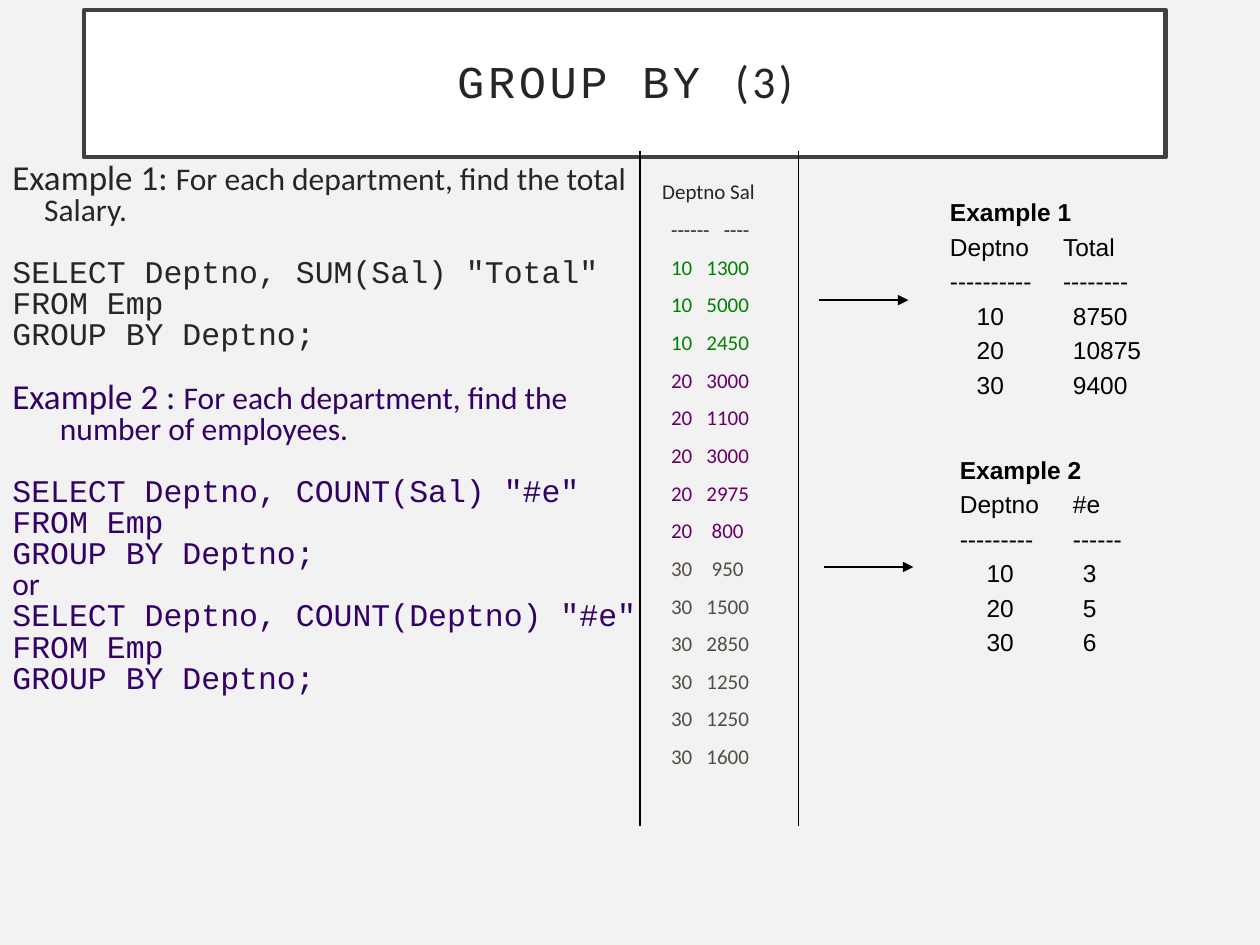
from dataclasses import dataclass

from lxml.etree import SubElement
from pptx import Presentation
from pptx.dml.color import RGBColor
from pptx.enum.shapes import MSO_CONNECTOR, MSO_SHAPE
from pptx.enum.text import MSO_ANCHOR, PP_ALIGN
from pptx.oxml.ns import qn
from pptx.util import Cm, Pt


@dataclass(frozen=True)
class Theme:
    paper: str = "F2F2F2"
    white: str = "FFFFFF"
    frame: str = "404040"
    ink: str = "262626"
    black: str = "000000"
    indigo: str = "330066"
    green: str = "008000"
    purple: str = "660066"
    brown: str = "524C44"
    sans: str = "Calibri"
    mono: str = "Courier New"
    result: str = "Arial"
    title: int = 26
    lead: int = 20
    body: int = 18
    small: int = 14
    tiny: int = 12


class Deck:
    def __init__(self, theme):
        self.t = theme
        self.prs = Presentation()
        self.prs.slide_width, self.prs.slide_height = Cm(25.4), Cm(19.05)
        self.s = self.prs.slides.add_slide(self.prs.slide_layouts[6])
        fill = self.s.background.fill
        fill.solid()
        fill.fore_color.rgb = RGBColor.from_string(theme.paper)

    def run(self, p, text, size, font, color, bold=False, spacing=0):
        r = p.add_run()
        r.text = text
        r.font.size, r.font.name, r.font.bold = Pt(size), font, bold
        r.font.color.rgb = RGBColor.from_string(color)
        if spacing:
            r.font._element.set("spc", str(spacing * 100))

    def paragraph(self, tf, before=0, spacing=1.0, hang=0, tabs=()):
        first = not tf.paragraphs[0].runs
        p = tf.paragraphs[0] if first else tf.add_paragraph()
        p.line_spacing = spacing
        p.space_before = Pt(0 if first else before)
        pPr = p._p.get_or_add_pPr()
        if hang:
            pPr.set("marL", str(Cm(hang)))
            pPr.set("indent", str(-Cm(hang)))
        if tabs:
            tab_list = SubElement(pPr, qn("a:tabLst"))
            for pos, align in tabs:
                SubElement(tab_list, qn("a:tab"), pos=str(Cm(pos)), algn=align)
        return p

    def textbox(self, x, y, w, h):
        tf = self.s.shapes.add_textbox(Cm(x), Cm(y), Cm(w), Cm(h)).text_frame
        tf.word_wrap = True
        return tf

    def title(self, x, y, w, h, parts):
        t = self.t
        sp = self.s.shapes.add_shape(MSO_SHAPE.RECTANGLE, Cm(x), Cm(y), Cm(w), Cm(h))
        sp.shadow.inherit = False
        sp.fill.solid()
        sp.fill.fore_color.rgb = RGBColor.from_string(t.white)
        sp.line.color.rgb = RGBColor.from_string(t.frame)
        sp.line.width = Pt(2.5)
        tf = sp.text_frame
        tf.word_wrap = True
        tf.vertical_anchor = MSO_ANCHOR.MIDDLE
        p = self.paragraph(tf, spacing=0.9)
        p.alignment = PP_ALIGN.CENTER
        for text, font in parts:
            self.run(p, text, t.title, font, t.ink, spacing=2)

    def example(self, x, y, w, h, color, hang, label, task, queries):
        t = self.t
        tf = self.textbox(x, y, w, h)
        p = self.paragraph(tf, spacing=0.8, hang=hang)
        self.run(p, label, t.lead, t.sans, color)
        self.run(p, task, t.body, t.sans, color)
        for i, query in enumerate(queries):
            if i:
                p = self.paragraph(tf, 0.5, 0.8, hang)
                self.run(p, "or", t.body, t.sans, color)
            for j, line in enumerate(query):
                p = self.paragraph(tf, 18 if i + j == 0 else 0.5, 0.8, hang)
                self.run(p, line, t.body, t.mono, color)

    def salaries(self, x, y, w, h, groups):
        t = self.t
        tf = self.textbox(x, y, w, h)
        rows = [("\tDeptno Sal", t.ink, [(0.2, "l")]),
                ("\t------\t----", t.ink, [(0.38, "l"), (1.7, "ctr")])]
        rows += [(f"\t{dept}\t{sal}", color, [(0.38, "l"), (1.52, "ctr")])
                 for dept, color, sals in groups for sal in sals]
        for text, color, tabs in rows:
            p = self.paragraph(tf, 10, 0.8, tabs=tabs)
            self.run(p, text, t.tiny, t.sans, color)

    def result(self, x, y, w, h, name, heads, rules, rows):
        t = self.t
        tf = self.textbox(x, y, w, h)
        self.run(self.paragraph(tf), name, t.small, t.result, t.black, bold=True)
        lines = [("\t".join(cells), [(2.28, "l")]) for cells in (heads, rules)]
        lines += [(f"\t{dept}\t{value}", [(0.54, "l"), (2.48, "l")])
                  for dept, value in rows]
        for text, tabs in lines:
            p = self.paragraph(tf, 2.9, tabs=tabs)
            self.run(p, text, t.small, t.result, t.black)

    def line(self, x1, y1, x2, y2, arrow=False):
        cxn = self.s.shapes.add_connector(
            MSO_CONNECTOR.STRAIGHT, Cm(x1), Cm(y1), Cm(x2), Cm(y2))
        cxn.line.color.rgb = RGBColor.from_string(self.t.black)
        cxn.line.width = Pt(0.75)
        if arrow:
            SubElement(cxn.line._get_or_add_ln(), qn("a:tailEnd"), type="triangle")
        SubElement(cxn._element.spPr, qn("a:effectLst"))


def main():
    t = Theme()
    deck = Deck(t)
    deck.title(1.7, 0.2, 21.8, 2.97, [("GROUP BY ", t.mono), ("(3)", t.sans)])

    tail = ["FROM Emp", "GROUP BY Deptno;"]
    deck.example(0, 3.18, 13.3, 5.28, t.ink, 0.64, "Example 1: ",
                 "For each department, find the total Salary.",
                 [['SELECT Deptno, SUM(Sal) "Total"', *tail]])
    deck.example(0, 7.59, 13.3, 7.44, t.indigo, 0.96, "Example 2 : ",
                 "For each department, find the number of employees.",
                 [[f'SELECT Deptno, COUNT({column}) "#e"', *tail]
                  for column in ("Sal", "Deptno")])

    deck.salaries(12.9, 3.58, 3.78, 12.57, [
        (10, t.green, [1300, 5000, 2450]),
        (20, t.purple, [3000, 1100, 3000, 2975, 800]),
        (30, t.brown, [950, 1500, 2850, 1250, 1250, 1600]),
    ])
    for x in (12.9, 16.1):
        deck.line(x, 3.05, x, 16.66)

    deck.result(18.9, 3.85, 5.41, 4.8, "Example 1", ("Deptno", "Total"),
                ("----------", "--------"), [(10, 8750), (20, 10875), (30, 9400)])
    deck.result(19.1, 9.04, 5.59, 5.21, "Example 2", ("Deptno", "#e"),
                ("---------", "------"), [(10, 3), (20, 5), (30, 6)])
    for x, y in ((16.51, 6.05), (16.61, 11.43)):
        deck.line(x, y, x + 1.8, y, arrow=True)

    deck.prs.save("out.pptx")


if __name__ == "__main__":
    main()
